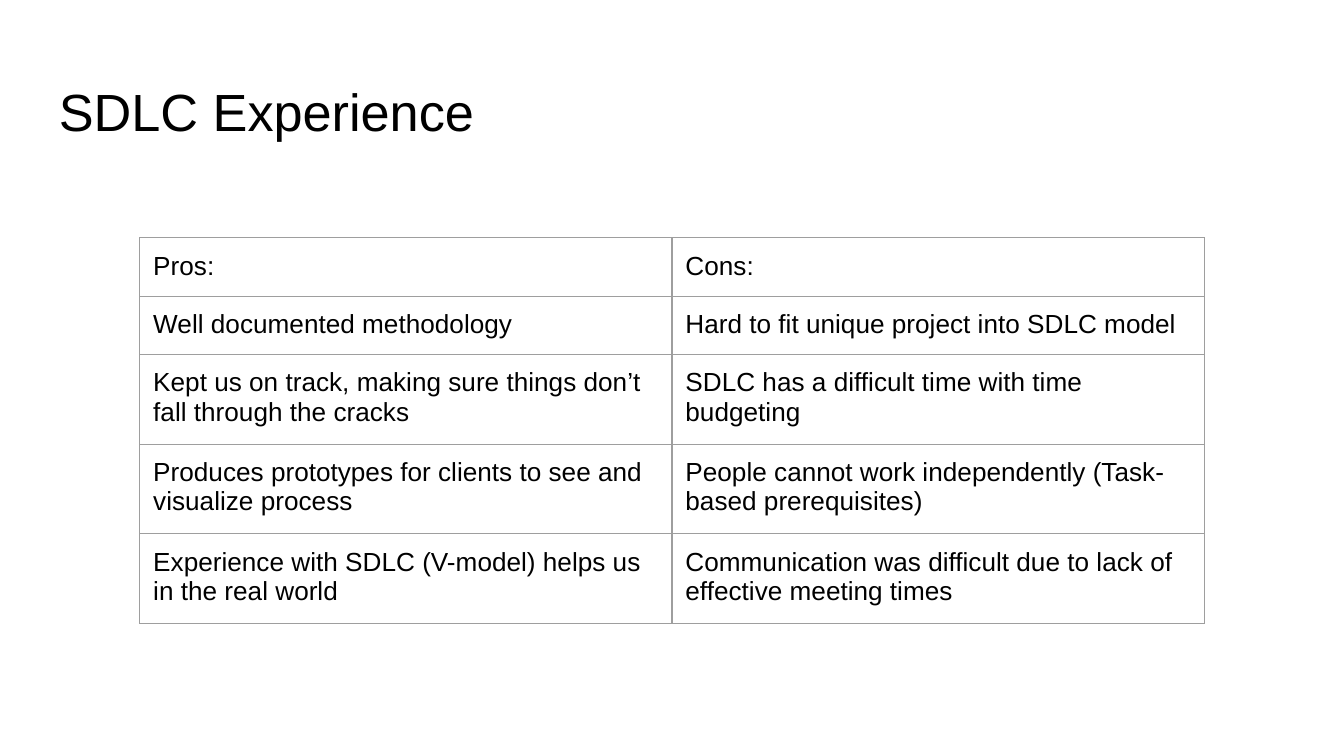
from typing import NamedTuple

from lxml import etree
from pptx import Presentation
from pptx import util as u
from pptx.dml.color import RGBColor
from pptx.enum import text
from pptx.oxml import ns

FONT = "Arial"
BLACK = "000000"
WHITE = "FFFFFF"
GREY = "9E9E9E"
INSET = u.Inches(0.1)


class Row(NamedTuple):
    pro: str
    con: str


ROWS = [
    Row("Pros:", "Cons:"),
    Row("Well documented methodology", "Hard to fit unique project into SDLC model"),
    Row("Kept us on track, making sure things don’t fall through the cracks",
        "SDLC has a difficult time with time budgeting"),
    Row("Produces prototypes for clients to see and visualize process",
        "People cannot work independently (Task-based prerequisites)"),
    Row("Experience with SDLC (V-model) helps us in the real world",
        "Communication was difficult due to lack of effective meeting times"),
]


def set_color(fmt, color: str) -> None:
    fmt.rgb = RGBColor.from_string(color)


def set_margins(box) -> None:
    box.margin_left = box.margin_right = INSET
    box.margin_top = box.margin_bottom = INSET


def write(tf, content: str, size: float) -> None:
    tf.text = content
    tf.word_wrap = True
    font = tf.paragraphs[0].runs[0].font
    font.name, font.size = FONT, u.Pt(size)
    set_color(font.color, BLACK)


def add_borders(cell, color: str, width: float) -> None:
    props = cell._tc.get_or_add_tcPr()
    for i, side in enumerate(("lnL", "lnR", "lnT", "lnB")):
        # Border lines must come before the cell fill
        ln = etree.Element(ns.qn(f"a:{side}"), w=str(u.Pt(width)))
        fill = etree.SubElement(ln, ns.qn("a:solidFill"))
        etree.SubElement(fill, ns.qn("a:srgbClr"), val=color)
        props.insert(i, ln)


def add_title(s, content: str) -> None:
    box = s.shapes.add_textbox(u.Inches(0.34), u.Inches(0.49), u.Inches(9.32), u.Inches(0.63))
    tf = box.text_frame
    set_margins(tf)
    tf.vertical_anchor = text.MSO_ANCHOR.TOP
    write(tf, content, 28)


def add_comparison(s, rows: list[Row]) -> None:
    side = u.Inches(3.28)
    frame = s.shapes.add_table(len(rows), 2, u.Inches(1.04), u.Inches(1.77), side, side)
    table = frame.table
    table.first_row = table.horz_banding = False
    for column in table.columns:
        column.width = u.Inches(3.96)
    for r, row in enumerate(rows):
        table.rows[r].height = u.Inches(5 / 12)
        for c, content in enumerate(row):
            cell = table.cell(r, c)
            set_margins(cell)
            cell.fill.background()
            write(cell.text_frame, content, 14)
            add_borders(cell, GREY, 0.75)
    # The rows grow with their text, inside a square frame
    frame.width = frame.height = side


def main() -> None:
    prs = Presentation()
    prs.slide_width = u.Inches(10)
    prs.slide_height = prs.slide_width * 9 // 16
    s = prs.slides.add_slide(prs.slide_layouts[6])
    s.background.fill.solid()
    set_color(s.background.fill.fore_color, WHITE)

    # Heading
    add_title(s, "SDLC Experience")

    # Pros and cons
    add_comparison(s, ROWS)

    prs.save("out.pptx")


if __name__ == "__main__":
    main()
